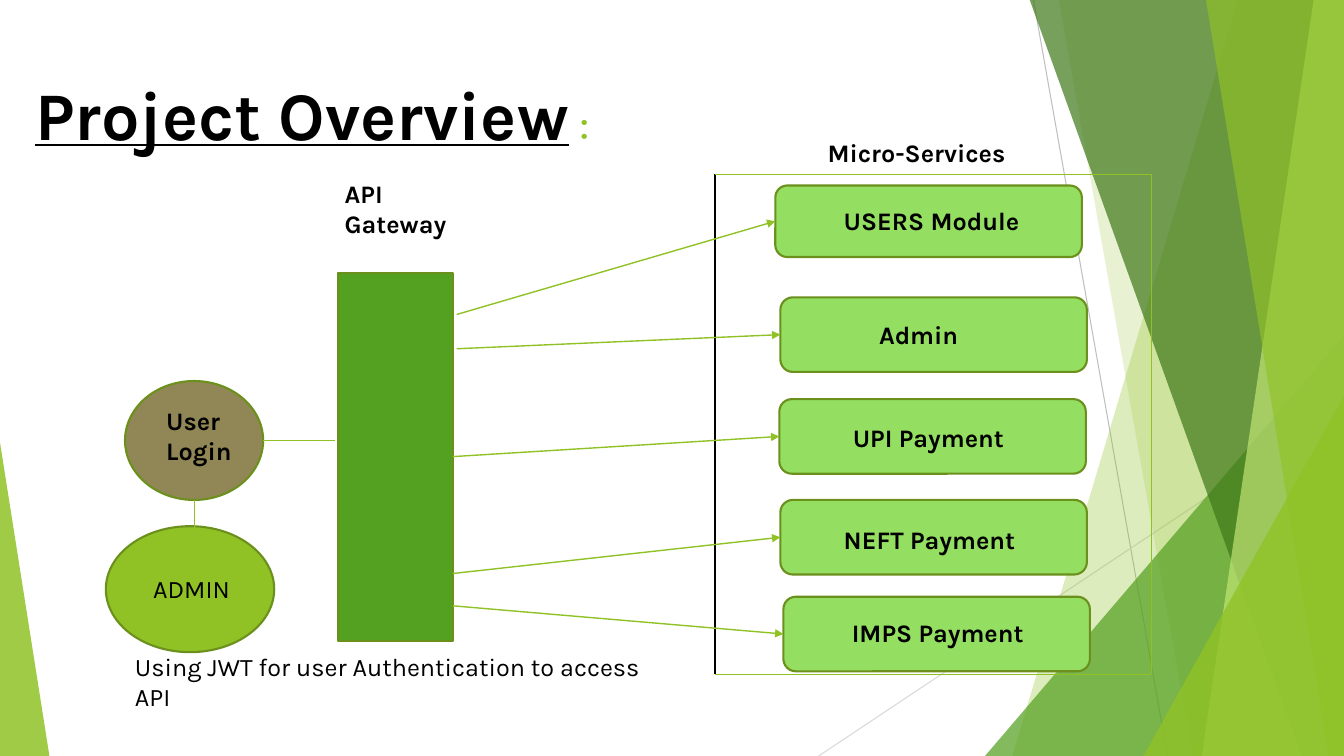
import pptx
import pptx.util
import pptx.dml.color
import pptx.enum.shapes
import pptx.enum.text
import pptx.oxml
import pptx.oxml.ns
import lxml.etree

Inches = pptx.util.Inches
Pt = pptx.util.Pt
RGBColor = pptx.dml.color.RGBColor
MSO_SHAPE = pptx.enum.shapes.MSO_SHAPE
qn = pptx.oxml.ns.qn

BLACK = RGBColor(0x00, 0x00, 0x00)
WHITE = RGBColor(0xFF, 0xFF, 0xFF)
LIME = RGBColor(0x90, 0xC2, 0x26)
PALE_LIME = RGBColor(0xC0, 0xE4, 0x74)
GREEN = RGBColor(0x54, 0xA0, 0x21)
DARK_GREEN = RGBColor(0x3F, 0x78, 0x19)
MODULE_GREEN = RGBColor(0x94, 0xDE, 0x61)
OLIVE = RGBColor(0x91, 0x86, 0x55)
OUTLINE = RGBColor(0x6B, 0x90, 0x1C)
GREY = RGBColor(0xBF, 0xBF, 0xBF)
LIGHT_GREY = RGBColor(0xD9, 0xD9, 0xD9)
FONT = "Karla"

MODULES = [
    ("USERS Module", (7.69, 1.84, 3.04, 0.71), (8.27, 1.99, 2.13), (4.53, 3.12)),
    ("Admin", (7.74, 2.95, 3.04, 0.74), (8.62, 3.12, 2.76), (4.53, 3.46)),
    ("UPI Payment", (7.73, 3.96, 3.04, 0.74), (8.36, 4.14, 2.07), (4.49, 4.53)),
    ("NEFT Payment", (7.74, 4.96, 3.04, 0.74), (8.27, 5.15, 2.37), (4.49, 5.69)),
    ("IMPS Payment", (7.77, 5.92, 3.04, 0.74), (8.35, 6.08, 1.99), (4.49, 6.01)),
]


def paint(shape, color, opacity):
    shape.shadow.inherit = False
    shape.fill.solid()
    shape.fill.fore_color.rgb = color
    shape.line.fill.background()
    if opacity < 100:
        tint = shape.fill._xPr.find(qn("a:solidFill"))[0]
        lxml.etree.SubElement(tint, qn("a:alpha")).set("val", str(opacity * 1000))


def add_facet(slide, corners, color, opacity):
    points = [(Inches(x), Inches(y)) for x, y in corners]
    builder = slide.shapes.build_freeform(*points[0], scale=1.0)
    builder.add_line_segments(points[1:], close=True)
    paint(builder.convert_to_shape(), color, opacity)


def add_triangle(slide, bounds, apex, color, opacity):
    triangle = slide.shapes.add_shape(MSO_SHAPE.ISOSCELES_TRIANGLE, *map(Inches, bounds))
    triangle.adjustments[0] = apex
    paint(triangle, color, opacity)


def add_node(slide, kind, bounds, color):
    node = slide.shapes.add_shape(kind, *map(Inches, bounds))
    paint(node, color, 100)
    node.line.color.rgb = OUTLINE
    node.line.width = Pt(1.5)


def add_link(slide, start, end, color=LIME, width=1, arrow=False):
    link = slide.shapes.add_connector(
        pptx.enum.shapes.MSO_CONNECTOR.STRAIGHT, *map(Inches, (*start, *end)))
    link.line.color.rgb = color
    link.line.width = Pt(width)
    if arrow:
        line = link.line._get_or_add_ln()
        lxml.etree.SubElement(line, qn("a:tailEnd")).set("type", "triangle")
    lxml.etree.SubElement(link._element.spPr, qn("a:effectLst"))


def add_text(slide, bounds, runs):
    frame = slide.shapes.add_textbox(*map(Inches, bounds)).text_frame
    frame.word_wrap = True
    frame.vertical_anchor = pptx.enum.text.MSO_ANCHOR.TOP
    for text, size, color, bold, underline in runs:
        run = frame.paragraphs[0].add_run()
        run.text = text
        run.font.name = FONT
        run.font.size = Pt(size)
        run.font.color.rgb = color
        run.font.bold = bold
        run.font.underline = underline
    return frame


def add_label(slide, text, left, top, width, height=0.4, bold=True):
    add_text(slide, (left, top, width, height), [(text, 18, BLACK, bold, False)])


def add_backdrop(slide):
    top, right, bottom = -0.01, 13.33, 7.5
    add_link(slide, (10.25, 0), (11.58, bottom), GREY, 0.75)
    add_link(slide, (right, 4.03), (8.12, bottom), LIGHT_GREY, 0.75)

    def add_band(top_left, bottom_left, color, opacity):
        corners = [(top_left, top), (right, top), (right, bottom), (bottom_left, bottom)]
        add_facet(slide, corners, color, opacity)

    add_band(12.28, 10.04, LIME, 30)
    add_band(10.5, 11.83, LIME, 20)
    add_triangle(slide, (9.77, 3.33, 3.56, 4.17), 1, GREEN, 72)
    add_band(10.21, 12.91, DARK_GREEN, 70)
    add_band(13.03, 11.92, PALE_LIME, 70)
    add_band(11.96, 13.18, LIME, 65)
    add_triangle(slide, (11.34, 3.93, 1.99, 3.57), 1, LIME, 80)
    add_triangle(slide, (0, 4.39, 0.49, 3.11), 0, LIME, 85)


def add_title(slide):
    title = add_text(slide, (0.25, 0.62, 11.5, 0.84), [
        ("Project Overview", 48.6, BLACK, True, True),
        (" ", 32.4, BLACK, False, False),
        (":", 32.4, LIME, False, False),
    ])
    title.margin_top = Inches(0.1)


def add_login(slide):
    add_node(slide, MSO_SHAPE.OVAL, (1.24, 3.78, 1.37, 1.18), OLIVE)
    add_link(slide, (2.61, 4.37), (3.32, 4.37))
    add_label(slide, "User Login", 1.55, 3.97, 0.98, 0.71)
    add_label(slide, "Using JWT for user Authentication to access API",
              1.24, 6.41, 5.43, 0.71, bold=False)
    add_node(slide, MSO_SHAPE.OVAL, (1.05, 5.22, 1.67, 1.25), LIME)
    add_link(slide, (1.93, 4.96), (1.93, 5.33))
    add_label(slide, "ADMIN", 1.42, 5.64, 1.28, bold=False)


def add_gateway(slide):
    add_node(slide, MSO_SHAPE.RECTANGLE, (3.35, 2.71, 1.14, 3.65), GREEN)
    add_label(slide, "API Gateway", 3.32, 1.72, 1.5, 0.71)


def add_services(slide):
    left, top, right, bottom = 7.09, 1.73, 11.42, 6.69
    add_link(slide, (left, top), (left, bottom), BLACK)
    add_link(slide, (left, top), (right, top))
    add_link(slide, (right, top), (right, bottom))
    add_link(slide, (left, bottom), (right, bottom))
    add_label(slide, "Micro-Services", 8.11, 1.31, 2.77)
    for name, bounds, label, source in MODULES:
        box_left, box_top, _, box_height = bounds
        add_node(slide, MSO_SHAPE.ROUNDED_RECTANGLE, bounds, MODULE_GREEN)
        add_label(slide, name, *label)
        add_link(slide, source, (box_left, box_top + box_height / 2), arrow=True)


def main():
    deck = pptx.Presentation()
    deck.slide_width = Inches(13.33)
    deck.slide_height = Inches(7.5)
    slide = deck.slides.add_slide(deck.slide_layouts[6])
    slide.background.fill.solid()
    slide.background.fill.fore_color.rgb = WHITE
    add_backdrop(slide)
    add_title(slide)
    add_gateway(slide)
    add_services(slide)
    add_login(slide)
    deck.save("out.pptx")


if __name__ == "__main__":
    main()
